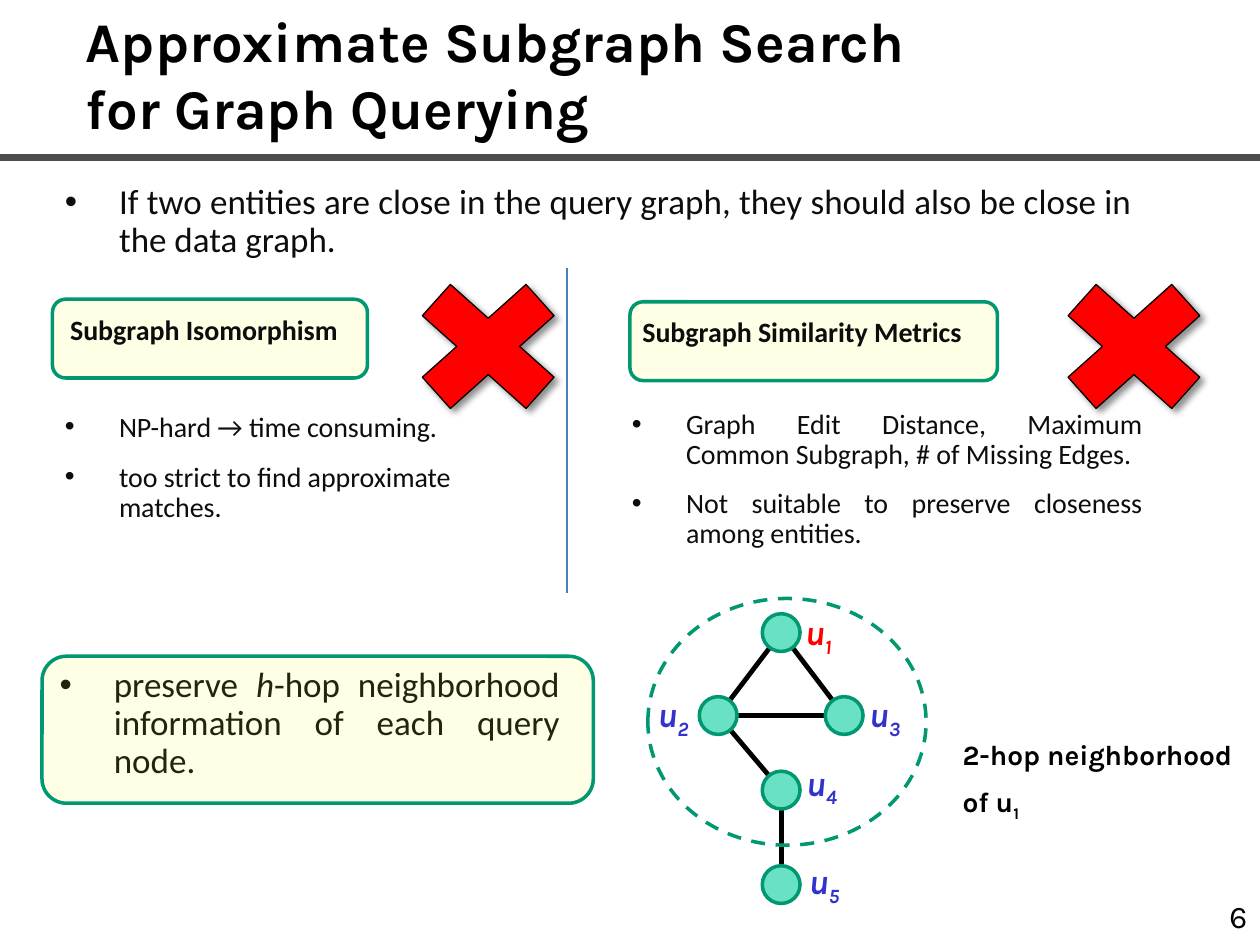
from math import hypot
from lxml.etree import SubElement
from pptx import Presentation
from pptx.dml.color import RGBColor
from pptx.enum.dml import MSO_LINE
from pptx.enum.shapes import MSO_CONNECTOR, MSO_SHAPE
from pptx.enum.text import MSO_ANCHOR, PP_ALIGN
from pptx.oxml.ns import qn
from pptx.util import Inches, Pt

COLORS = {
    "black": "000000", "body": "0D0D0D", "rule": "4D4D4D", "divider": "4B7EBC",
    "green": "009771", "node": "00CC99", "yellow": "FFFF00",
    "red": "FF0000", "blue": "3333CC",
}

presentation = Presentation()
presentation.slide_width = Inches(10)
presentation.slide_height = Inches(7.5)
slide = presentation.slides.add_slide(presentation.slide_layouts[6])
CELL = presentation.slide_width / 24


def add_text(box, paragraphs, size, font="Calibri", color="body", bold=False,
             italic=False, align=None, hanging=False, bullet=False, wrap=True, after=6):
    shape = slide.shapes.add_textbox(*[round(n * CELL) for n in box])
    frame = shape.text_frame
    frame.word_wrap = wrap
    for index, pieces in enumerate(paragraphs):
        paragraph = frame.paragraphs[0] if index == 0 else frame.add_paragraph()
        paragraph.alignment = align
        if hanging or bullet:
            paragraph.line_spacing = 0.9
            paragraph.space_after = Pt(after)
            properties = paragraph._p.get_or_add_pPr()
            properties.set("marL", str(Inches(0.43)))
            properties.set("indent", str(-Inches(0.43)))
            if bullet:
                SubElement(properties, qn("a:buFont")).set("typeface", "Arial")
                SubElement(properties, qn("a:buChar")).set("char", "•")
        for text, style in pieces:
            paragraph.add_run().text = text
        for run in paragraph.runs:
            run.font.size = Pt(size)
            run.font.name = font
            run.font.bold = bold
            run.font.italic = italic
            run.font.color.rgb = RGBColor.from_string(COLORS[color])
        for run, (text, style) in zip(paragraph.runs, pieces):
            if style == "sub":
                run._r.get_or_add_rPr().set("baseline", "-25000")
            elif style == "italic":
                run.font.italic = True
    return shape


def add_outlined(kind, box, fill=None, opacity=100, line="green", width=2):
    shape = slide.shapes.add_shape(kind, *[round(n * CELL) for n in box])
    shape.shadow.inherit = False
    shape.line.color.rgb = RGBColor.from_string(COLORS[line])
    shape.line.width = Pt(width)
    if fill is None:
        shape.fill.background()
        return shape
    shape.fill.solid()
    shape.fill.fore_color.rgb = RGBColor.from_string(COLORS[fill])
    if opacity < 100:
        color = shape._element.spPr.find(qn("a:solidFill"))[0]
        SubElement(color, qn("a:alpha")).set("val", str(opacity * 1000))
    return shape


title = add_text((1.4, 0, 20.8, 2.8), [[("Approximate Subgraph Search", None)]],
                 32, "Karla", "black", bold=True)
title.text_frame.vertical_anchor = MSO_ANCHOR.MIDDLE
title_paragraph = title.text_frame.paragraphs[0]
title_font = title_paragraph.runs[0].font
title_paragraph.add_line_break()
second_line = title_paragraph.add_run()
second_line.text = "for Graph Querying"
second_line.font.size = title_font.size
second_line.font.name = title_font.name
second_line.font.bold = True
second_line.font.color.rgb = title_font.color.rgb

for box, text, size, align in [
    ((1, 3.4, 20.8, 1.9), "If two entities are close in the query graph, they should also be close in the data graph.", 20, PP_ALIGN.JUSTIFY),
    ((1, 7.75, 21.8, 3.6), "NP-hard → time consuming.", 16, PP_ALIGN.JUSTIFY),
    ((1, 8.7, 9.6, 3.6), "too strict to find approximate matches.", 16, PP_ALIGN.LEFT),
    ((11.8, 7.7, 10.2, 3.6), "Graph Edit Distance, Maximum Common Subgraph, # of Missing Edges.", 16, PP_ALIGN.JUSTIFY),
    ((11.8, 9.2, 10.2, 2.2), "Not suitable to preserve closeness among entities.", 16, PP_ALIGN.JUSTIFY),
]:
    add_text(box, [[(text, None)]], size, align=align, bullet=True)

for panel, box, text in [
    ((1, 5.7, 6, 1.5), (1.1, 5.9, 7, 1.2), "Subgraph Isomorphism"),
    ((12, 5.75, 7, 1.5), (12, 5.95, 8.3, 1.2), "Subgraph Similarity Metrics"),
]:
    add_outlined(MSO_SHAPE.ROUNDED_RECTANGLE, panel, "yellow", 10)
    add_text(box, [[(text, None)]], 16, bold=True, align=PP_ALIGN.JUSTIFY, hanging=True)

add_text((0.9, 12.6, 10, 3.4),
         [[("preserve ", None), ("h", "italic"),
           ("-hop neighborhood information of each query node.", None)]],
         20, align=PP_ALIGN.JUSTIFY, bullet=True)
add_outlined(MSO_SHAPE.ROUNDED_RECTANGLE, (0.8, 12.5, 10.5, 2.8), "yellow", 10)

RADIUS = 0.36
nodes = {"1": (14.88, 12.05), "2": (13.68, 13.63), "3": (16.08, 13.63),
         "4": (14.88, 15.05), "5": (14.88, 16.85)}
label_corners = {"1": (15.1, 11.52), "2": (12.29, 13.08), "3": (16.32, 13.08),
                 "4": (15.12, 14.38), "5": (15.17, 16.25)}
lines = [((0, 3), (24, 3), "rule", 4.5), ((10.8, 5.1), (10.8, 11.3), "divider", 0.75)]
for first, second in ["12", "13", "23", "24", "45"]:
    (x1, y1), (x2, y2) = nodes[first], nodes[second]
    share = RADIUS / hypot(x2 - x1, y2 - y1)
    dx, dy = (x2 - x1) * share, (y2 - y1) * share
    lines.append(((x1 + dx, y1 + dy), (x2 - dx, y2 - dy), "black", 2.75))

for start, end, color, width in lines:
    connector = slide.shapes.add_connector(
        MSO_CONNECTOR.STRAIGHT, *[round(n * CELL) for n in start + end])
    connector.line.color.rgb = RGBColor.from_string(COLORS[color])
    connector.line.width = Pt(width)
    SubElement(connector._element.spPr, qn("a:effectLst"))

for name, (x, y) in nodes.items():
    add_outlined(MSO_SHAPE.OVAL, (x - RADIUS, y - RADIUS, 2 * RADIUS, 2 * RADIUS), "node", 59)
    add_text(label_corners[name] + (1.13, 1.85), [[("u", None), (name, "sub")]], 20, "Karla",
             "red" if name == "1" else "blue", bold=True, italic=True, wrap=False)

neighborhood = add_outlined(MSO_SHAPE.OVAL, (12.34, 11.4, 5.3, 4.7))
neighborhood.line.dash_style = MSO_LINE.DASH
add_text((18.1, 14, 5.8, 2.8),
         [[("2-hop neighborhood", None)], [("of u", None), ("1", "sub")]],
         16, "Karla", "black", bold=True, hanging=True, after=8)
add_text((23.18, 16.97, 0.8, 0.96), [[("6", None)]], 18, "Karla", "black", wrap=False)

for left in (7.4, 19.7):
    cross = add_outlined(MSO_SHAPE.MATH_MULTIPLY, (left, 4.9, 3.8, 3.4), "red", line="black", width=0.75)
    effects = cross._element.spPr.find(qn("a:effectLst"))
    shadow = SubElement(effects, qn("a:outerShdw"), blurRad=str(Pt(4)), dist=str(Pt(3)),
                        dir="2700000", algn="tl", rotWithShape="0")
    shadow_color = SubElement(shadow, qn("a:srgbClr"), val=COLORS["black"])
    SubElement(shadow_color, qn("a:alpha"), val="43000")

presentation.save("out.pptx")
